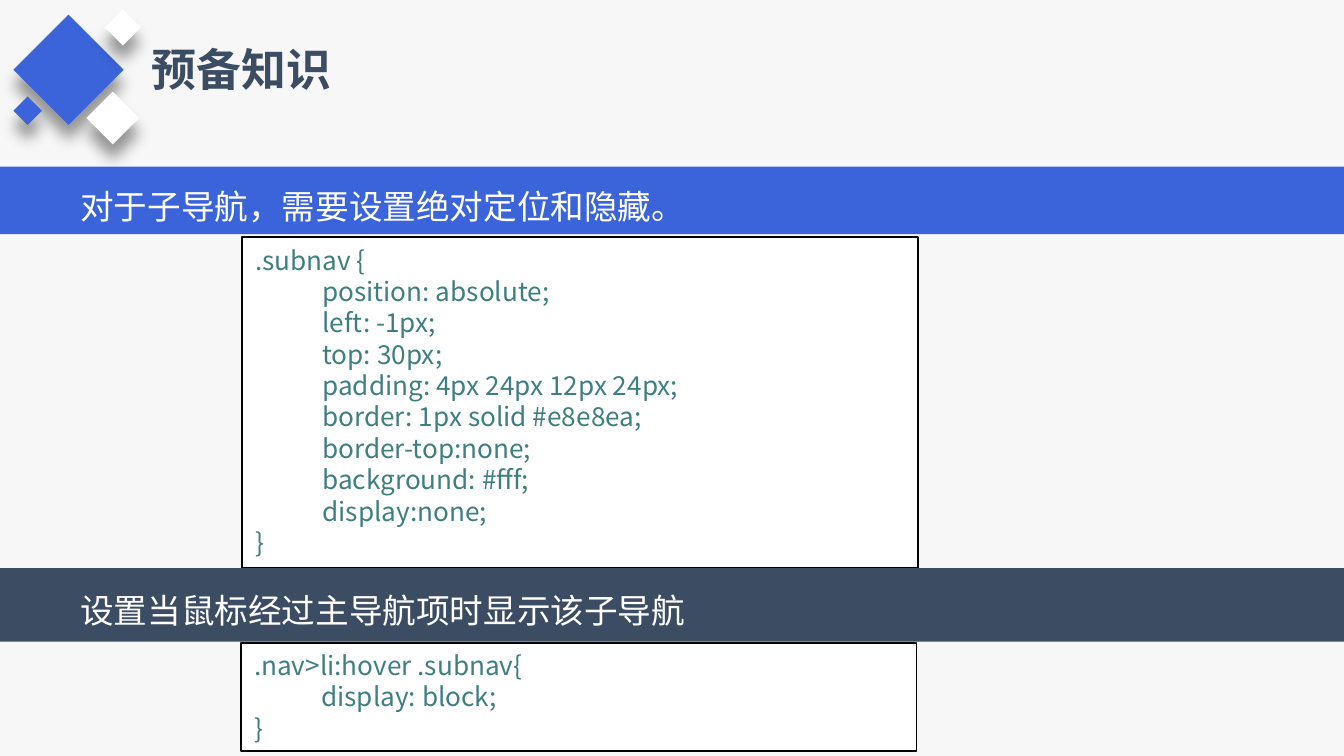
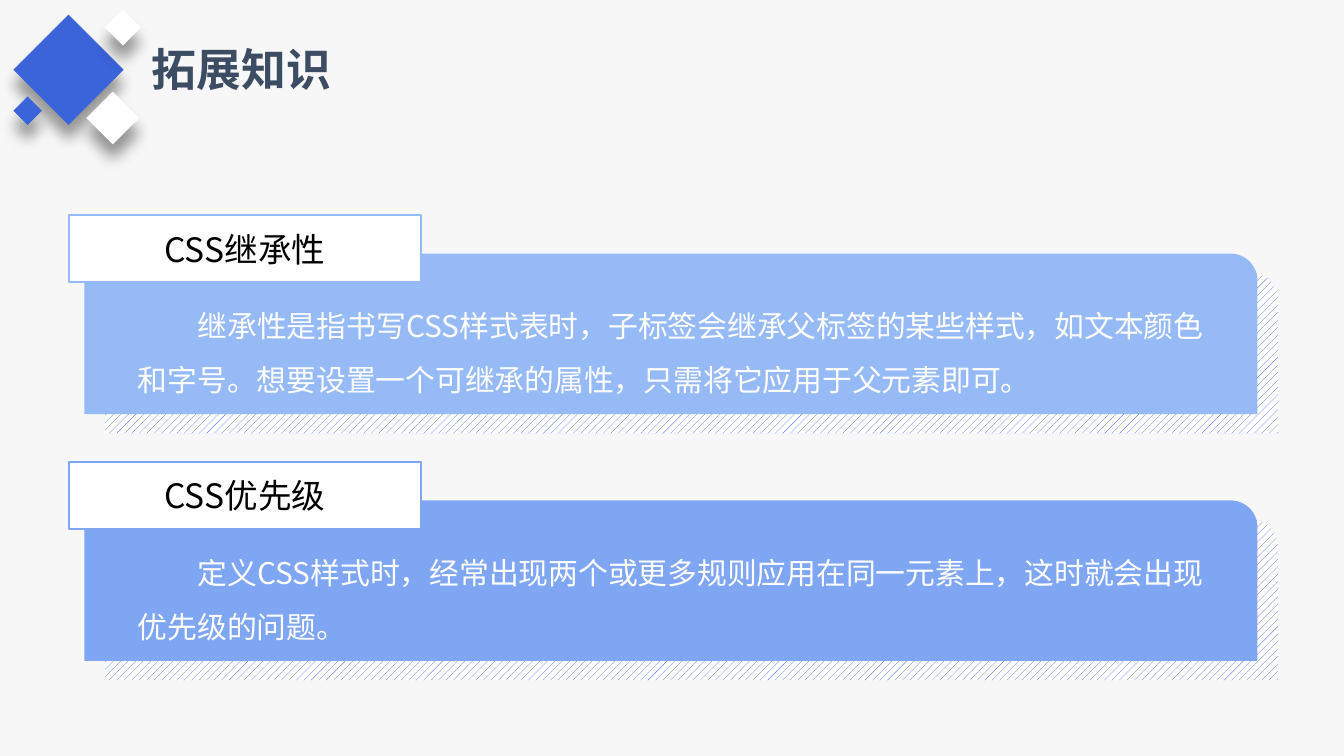
from dataclasses import dataclass

from lxml.etree import SubElement as Sub
from pptx import Presentation as Deck
from pptx.dml.color import RGBColor as Rgb
from pptx.enum.dml import MSO_PATTERN as Pat
from pptx.enum.shapes import MSO_SHAPE as Form
from pptx.enum.text import MSO_ANCHOR as Anchor, MSO_AUTO_SIZE as Auto, PP_ALIGN as Align
from pptx.oxml.ns import qn
from pptx.util import Pt


@dataclass(frozen=True)
class Theme:
    font: str = "Noto Sans CJK SC"
    page: str = "F7F7F7"
    blue: str = "3B64DA"
    navy: str = "3C4D63"
    sky: str = "96BAF6"
    azure: str = "7FA6F2"
    white: str = "FFFFFF"
    black: str = "000000"
    code: str = "3F7F7F"
    head: int = 24
    label: int = 18
    body: int = 16
    small: int = 14


T = Theme()


def box(slide, area, fill, line=None, form=Form.RECTANGLE):
    item = slide.shapes.add_shape(form, *map(Pt, area))
    item.shadow.inherit = False
    item.fill.solid()
    item.fill.fore_color.rgb = Rgb.from_string(fill)
    if line:
        item.line.color.rgb = Rgb.from_string(line)
        item.line.width = Pt(1)
    else:
        item.line.fill.background()
    return item


def write(item, text, size, color, bold=False, align=Align.LEFT, anchor=Anchor.TOP,
          indent=0, space=None, foot=3.6, wrap=True, grow=False):
    frame = item.text_frame
    frame.word_wrap = wrap
    frame.auto_size = Auto.SHAPE_TO_FIT_TEXT if grow else Auto.NONE
    frame.vertical_anchor = anchor
    frame.margin_bottom = Pt(foot)
    for i, row in enumerate(text.split("\n")):
        para = frame.add_paragraph() if i else frame.paragraphs[0]
        para.alignment = align
        if space:
            para.line_spacing = space
        if indent:
            para._p.get_or_add_pPr().set("indent", str(Pt(indent)))
        run = para.add_run()
        run.text = row
        run.font.name = T.font
        run.font.size = Pt(size)
        run.font.bold = bold
        run.font.color.rgb = Rgb.from_string(color)
        Sub(run._r.get_or_add_rPr(), qn("a:ea"), typeface=T.font)


deck = Deck()
deck.slide_width, deck.slide_height = Pt(720), Pt(405)

# Shared background, title and diamonds: left, top, side, colour
gems = [
    (15.8, 16.5, 41.8, T.blue),
    (50.4, 53.3, 20, T.white),
    (59, 7.9, 13.7, T.white),
    (9.4, 54, 10.8, T.blue),
]
pages = []
for title in ("预备知识", "拓展知识"):
    slide = deck.slides.add_slide(deck.slide_layouts[6])
    slide.background.fill.solid()
    slide.background.fill.fore_color.rgb = Rgb.from_string(T.page)
    head = slide.shapes.add_textbox(Pt(74.2), Pt(18.7), Pt(110.9), Pt(36))
    write(head, title, T.head, T.navy, bold=True, wrap=False, grow=True)
    for left, top, side, color in gems:
        gem = box(slide, (left, top, side, side), color)
        gem.rotation = 45
        effect = gem._element.spPr.find(qn("a:effectLst"))
        shade = Sub(effect, qn("a:outerShdw"), blurRad=str(Pt(8)), dist=str(Pt(8)),
                    dir="5400000", algn="t", rotWithShape="0")
        tint = Sub(shade, qn("a:srgbClr"), val=T.black)
        Sub(tint, qn("a:alpha"), val="40000")
    pages.append(slide)
prep, extra = pages

# Slide 1: full-width bands, each with its code below
nav = """.subnav {
\tposition: absolute;
\tleft: -1px;
\ttop: 30px;
\tpadding: 4px 24px 12px 24px;
\tborder: 1px solid #e8e8ea;
\tborder-top:none;
\tbackground: #fff;
\tdisplay:none;
}"""
hover = """.nav>li:hover .subnav{
\tdisplay: block;
}"""
steps = [
    ("对于子导航，需要设置绝对定位和隐藏。", T.blue, 89.3, 36.2, nav, (129.6, 127.2, 362, 177.1)),
    ("设置当鼠标经过主导航项时显示该子导航", T.navy, 304.4, 39.4, hover, (129, 344.4, 362, 58)),
]
for text, color, top, high, code, area in steps:
    band = box(prep, (0, top, 720, high), color)
    write(band, text, T.label, T.white, anchor=Anchor.MIDDLE, indent=36, space=1.5, foot=8.6)
    panel = box(prep, area, T.white, T.black)
    write(panel, code, T.small, T.code, grow=True)

# Slide 2: cards with a hatched backing and a label
cards = [
    ("CSS继承性", T.sky,
     "继承性是指书写CSS样式表时，子标签会继承父标签的某些样式，如文本颜色和字号。"
     "想要设置一个可继承的属性，只需将它应用于父元素即可。"),
    ("CSS优先级", T.azure,
     "定义CSS样式时，经常出现两个或更多规则应用在同一元素上，这时就会出现优先级的问题。"),
]
for i, (name, color, text) in enumerate(cards):
    top = 115.2 + i * 132.2
    hatch = box(extra, (56.3, top + 31, 628.4, 86), T.white, form=Form.ROUND_1_RECTANGLE)
    hatch.fill.patterned()
    hatch.fill.pattern = Pat.WIDE_UPWARD_DIAGONAL
    hatch.fill.fore_color.rgb = Rgb.from_string(T.blue)
    hatch.fill.back_color.rgb = Rgb.from_string(T.white)
    box(extra, (45.2, top + 20.7, 628.4, 86), color, form=Form.ROUND_1_RECTANGLE)
    label = box(extra, (36.8, top, 188.8, 36), T.white, color)
    write(label, name, T.label, T.black, align=Align.CENTER, anchor=Anchor.MIDDLE)
    note = extra.shapes.add_textbox(Pt(66.8), Pt(top + 36.7), Pt(586), Pt(65.5))
    write(note, text, T.body, T.white, indent=32, space=1.5, grow=True)

deck.save("out.pptx")
